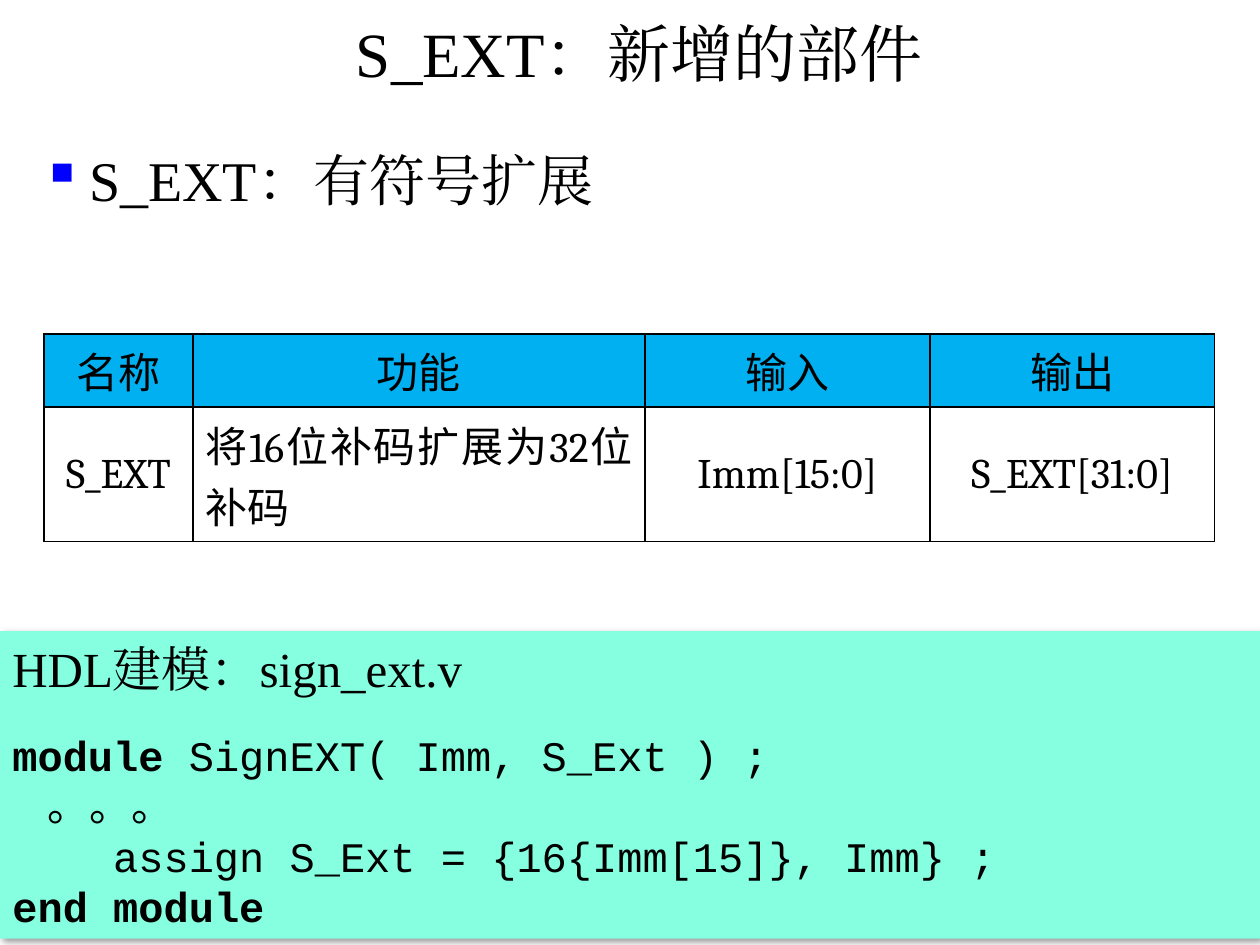
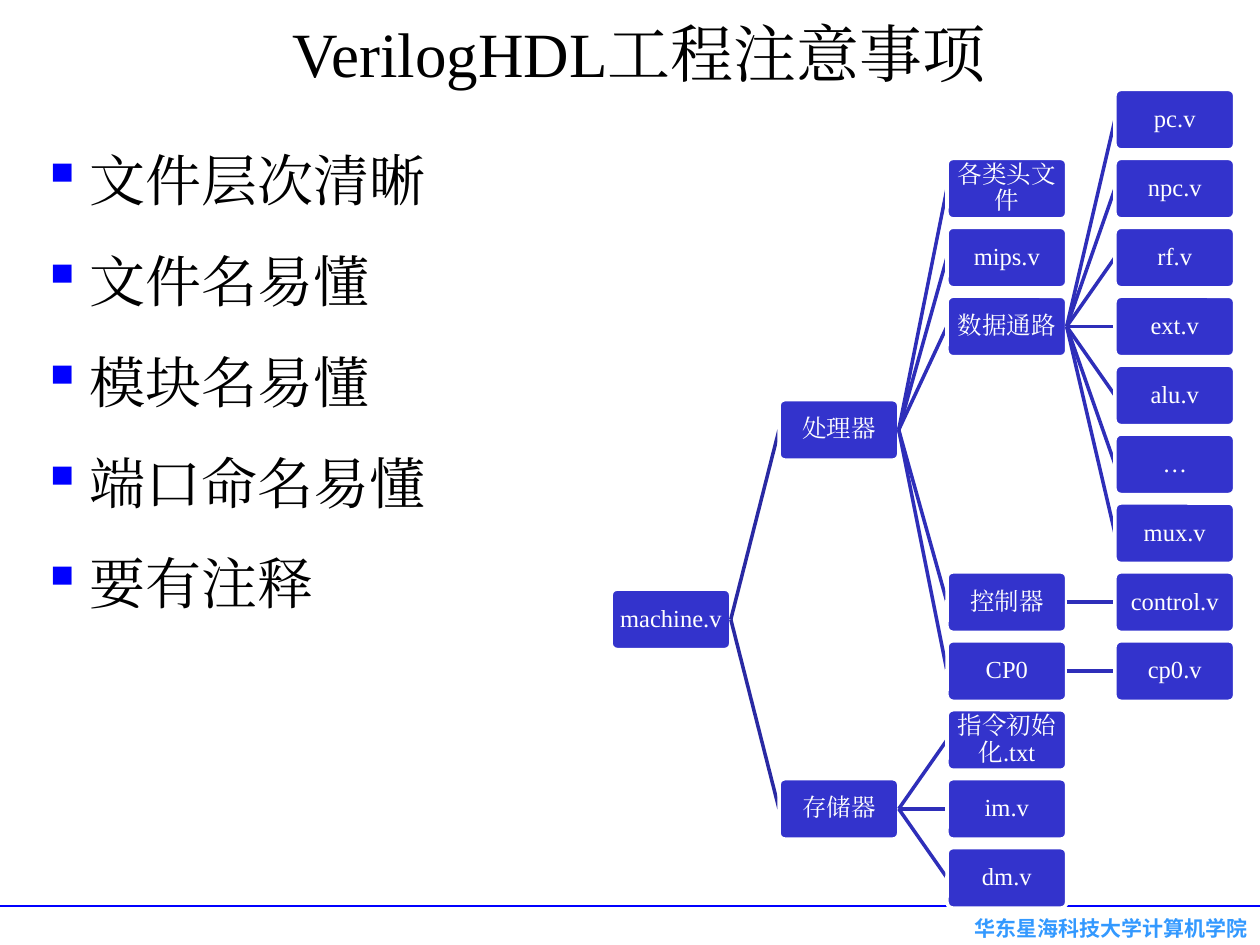
"""Build two lecture slides: the S_EXT unit and the layout of a Verilog project."""
from dataclasses import dataclass

from lxml import etree
from pptx import Presentation
from pptx import util as u
from pptx.dml.color import RGBColor
from pptx.enum import shapes, text
from pptx.oxml.ns import qn


@dataclass(frozen=True)
class Theme:
    ink: str = "000000"
    white: str = "FFFFFF"
    rule: str = "0000FF"
    footer: str = "3399FF"
    header: str = "00B0F0"
    code: str = "85FFE0"
    node: str = "3333CC"
    trunk: str = "2929A3"
    branch: str = "2E2EB9"
    serif: str = "Times New Roman"
    book: str = "Cambria"
    mono: str = "Courier New"
    sans: str = "Noto Sans CJK SC"
    title_size: int = 36
    body_size: int = 32
    lead_size: int = 28
    text_size: int = 24
    node_size: int = 14
    footer_size: int = 12


theme = Theme()
UNIT = u.Inches(0.1)
COLUMNS, ROWS = 100, 75


def area(*cells):
    """Turn grid columns and rows into lengths."""
    return [round(cell * UNIT) for cell in cells]


def write(para, words, size, color=theme.ink, name=theme.serif, asian=None, bold=False):
    """Add a formatted run to a paragraph."""
    span = para.add_run()
    span.text = words
    for key, value in {"size": u.Pt(size), "name": name, "bold": bold}.items():
        setattr(span.font, key, value)
    span.font.color.rgb = RGBColor.from_string(color)
    etree.SubElement(span.font._element, qn("a:ea"), typeface=asian or name)


deck = Presentation()
deck.slide_width, deck.slide_height = area(COLUMNS, ROWS)
middle = text.MSO_ANCHOR.MIDDLE
left, center, right, justify = (
    text.PP_ALIGN.LEFT, text.PP_ALIGN.CENTER, text.PP_ALIGN.RIGHT, text.PP_ALIGN.JUSTIFY)

contents = [
    ("S_EXT：新增的部件", ["S_EXT：有符号扩展"]),
    ("VerilogHDL工程注意事项",
     ["文件层次清晰", "文件名易懂", "模块名易懂", "端口命名易懂", "要有注释"]),
]
pages = []
for title, points in contents:
    page = deck.slides.add_slide(deck.slide_layouts[6])
    pages.append(page)

    box = page.shapes.add_textbox(*area(2.3, 0.5, 96.9, 7.3))
    for key, value in {"word_wrap": True, "vertical_anchor": middle}.items():
        setattr(box.text_frame, key, value)
    para = box.text_frame.paragraphs[0]
    para.alignment = center
    write(para, title, theme.title_size)

    box = page.shapes.add_textbox(*area(2.3, 8.4, 95.3, 62.2))
    box.text_frame.word_wrap = True
    for index, point in enumerate(points):
        para = box.text_frame.add_paragraph() if index else box.text_frame.paragraphs[0]
        para.line_spacing = 1.5
        props = para._p.get_or_add_pPr()
        indent = u.Inches(0.38)
        props.set("marL", str(indent))
        props.set("indent", str(-indent))
        tint = etree.SubElement(props, qn("a:buClr"))
        etree.SubElement(tint, qn("a:srgbClr"), val=theme.rule)
        etree.SubElement(props, qn("a:buChar"), char="▪")
        write(para, point, theme.body_size)

unit_page, project_page = pages

cells = [
    ["名称", "功能", "输入", "输出"],
    ["S_EXT", "将16位补码扩展为32位补码", "Imm[15:0]", "S_EXT[31:0]"],
]
table = unit_page.shapes.add_table(2, 4, *area(3.5, 26.5, 92.9, 16.5)).table
for key in ("first_row", "horz_banding"):
    setattr(table, key, False)
for column, width in zip(table.columns, area(11.8, 35.9, 22.6, 22.6)):
    column.width = width
for row, height in zip(table.rows, area(5.8, 10.7)):
    row.height = height
for row, words_in_row in enumerate(cells):
    for column, words in enumerate(words_in_row):
        cell = table.cell(row, column)
        for side in ("lnL", "lnR", "lnT", "lnB"):
            edge = etree.SubElement(
                cell._tc.get_or_add_tcPr(), qn(f"a:{side}"), w=str(u.Pt(1)))
            paint = etree.SubElement(edge, qn("a:solidFill"))
            etree.SubElement(paint, qn("a:srgbClr"), val=theme.ink)
        if row:
            cell.fill.background()
            cell.vertical_anchor = middle
        else:
            cell.fill.solid()
            cell.fill.fore_color.rgb = RGBColor.from_string(theme.header)
        para = cell.text_frame.paragraphs[0]
        para.alignment = justify if row and column == 1 else center
        write(para, words, theme.text_size, asian=theme.sans,
              name=theme.book if row else theme.serif)

panel = unit_page.shapes.add_shape(
    shapes.MSO_SHAPE.RECTANGLE, *area(0, 50.1, COLUMNS, 24.4))
panel.fill.solid()
panel.fill.fore_color.rgb = RGBColor.from_string(theme.code)
panel.line.fill.background()
effects = etree.SubElement(panel._element.spPr, qn("a:effectLst"))
shadow = etree.SubElement(
    effects, qn("a:outerShdw"), blurRad=str(u.Pt(4)), dist=str(u.Pt(3)), dir="2700000")
shade = etree.SubElement(shadow, qn("a:srgbClr"), val=theme.ink)
etree.SubElement(shade, qn("a:alpha"), val="40000")
for key, value in {"word_wrap": True, "vertical_anchor": middle}.items():
    setattr(panel.text_frame, key, value)
lead = panel.text_frame.paragraphs[0]
for key, value in {"alignment": left, "space_after": u.Pt(18)}.items():
    setattr(lead, key, value)
write(lead, "HDL建模：sign_ext.v", theme.lead_size)
code_lines = [
    (0, [("module ", True), ("SignEXT( Imm, S_Ext ) ;", False)]),
    (0.28, [("。。。", False)]),
    (0.8, [("assign S_Ext = {16{Imm[15]}, Imm} ;", False)]),
    (0, [("end module", True)]),
]
for indent, spans in code_lines:
    para = panel.text_frame.add_paragraph()
    para.alignment = left
    para._p.get_or_add_pPr().set("marL", str(u.Inches(indent)))
    for words, bold in spans:
        write(para, words, theme.text_size, name=theme.mono, bold=bold)

footer = project_page.shapes.add_textbox(*area(45.3, 72.7, 54.7, 2))
for key, value in {"word_wrap": True, "margin_top": 0, "margin_bottom": 0}.items():
    setattr(footer.text_frame, key, value)
para = footer.text_frame.paragraphs[0]
para.alignment = right
write(para, "华东星海科技大学计算机学院", theme.footer_size, theme.footer, theme.sans, bold=True)
rule = project_page.shapes.add_connector(
    shapes.MSO_CONNECTOR.STRAIGHT, *area(COLUMNS, 71.9, 0, 71.9))
rule.line.width = u.Pt(1.5)
rule.line.color.rgb = RGBColor.from_string(theme.rule)
etree.SubElement(rule._element.spPr, qn("a:effectLst"))

tree = [
    ("machine.v", 0, 7.25, None),
    ("处理器", 1, 4.5, "machine.v"),
    ("存储器", 1, 10, "machine.v"),
    ("各类头文件", 2, 1, "处理器"),
    ("mips.v", 2, 2, "处理器"),
    ("数据通路", 2, 3, "处理器"),
    ("控制器", 2, 7, "处理器"),
    ("CP0", 2, 8, "处理器"),
    ("指令初始化.txt", 2, 9, "存储器"),
    ("im.v", 2, 10, "存储器"),
    ("dm.v", 2, 11, "存储器"),
]
modules = ["pc.v", "npc.v", "rf.v", "ext.v", "alu.v", "…", "mux.v"]
tree += [(name, 3, row, "数据通路") for row, name in enumerate(modules)]
tree += [("control.v", 3, 7, "控制器"), ("cp0.v", 3, 8, "CP0")]
TREE_LEFT, TREE_TOP = 48.5, 7.1
LEVEL_STEP, ROW_STEP = 13.33, 5.47
NODE_WIDTH, NODE_HEIGHT = 9.5, 4.8
nodes = {}
for name, level, row, parent in tree:
    link = None
    if parent:
        link = project_page.shapes.add_connector(
            shapes.MSO_CONNECTOR.STRAIGHT, 0, 0, 0, 0)
        link.begin_connect(nodes[parent], 3)
        link.line.width = u.Pt(2)
        link.line.color.rgb = RGBColor.from_string(
            theme.trunk if level == 1 else theme.branch)
        etree.SubElement(link._element.spPr, qn("a:effectLst"))
    node = project_page.shapes.add_shape(
        shapes.MSO_SHAPE.ROUNDED_RECTANGLE,
        *area(TREE_LEFT + level * LEVEL_STEP, TREE_TOP + row * ROW_STEP,
              NODE_WIDTH, NODE_HEIGHT))
    nodes[name] = node
    if link:
        link.end_connect(node, 1)
    node.adjustments[0] = 0.1
    node.shadow.inherit = False
    node.fill.solid()
    node.fill.fore_color.rgb = RGBColor.from_string(theme.node)
    node.line.width = u.Pt(2)
    node.line.color.rgb = RGBColor.from_string(theme.white)
    frame = node.text_frame
    for key, value in {"word_wrap": True, "vertical_anchor": middle}.items():
        setattr(frame, key, value)
    for side in ("left", "top", "right", "bottom"):
        setattr(frame, f"margin_{side}", u.Inches(0.01))
    para = frame.paragraphs[0]
    for key, value in {"alignment": center, "line_spacing": 0.9}.items():
        setattr(para, key, value)
    write(para, name, theme.node_size, theme.white)

deck.save("out.pptx")
